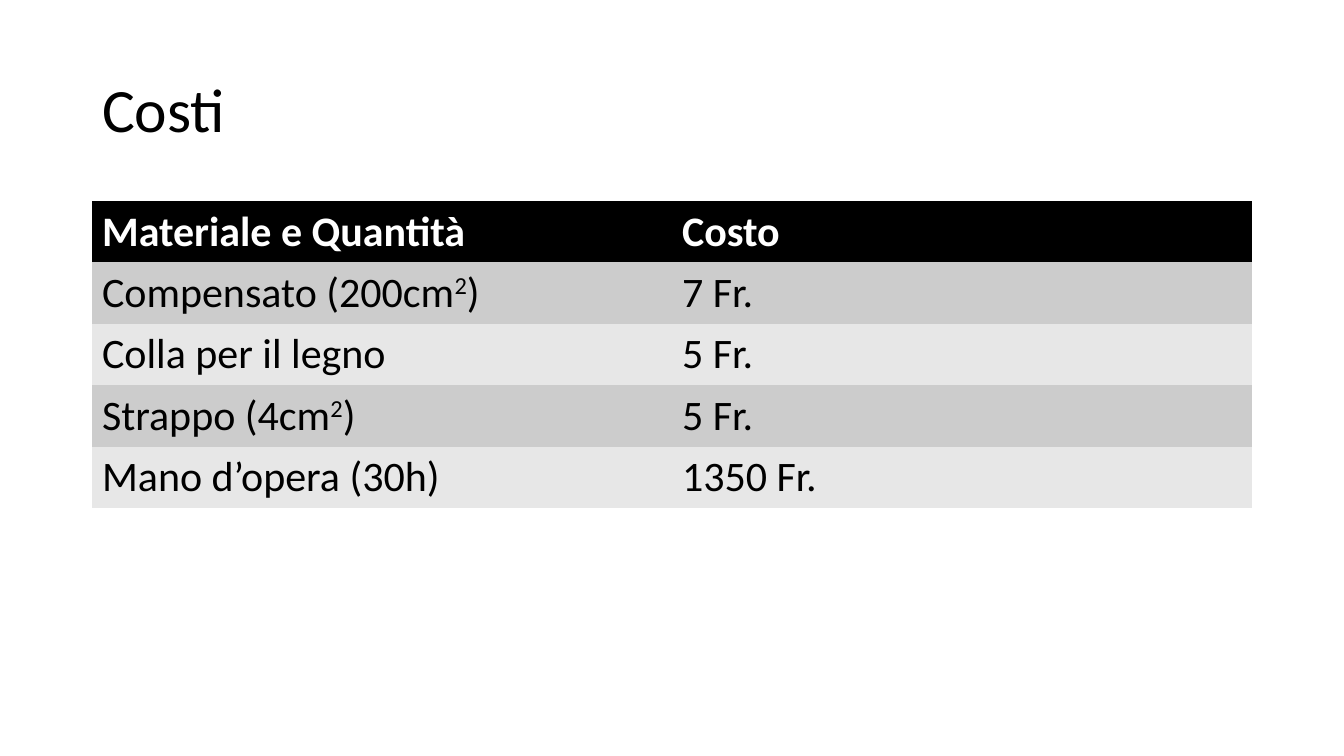
"""Build the cost slide with its title and price table."""
from pptx import Presentation
from pptx.dml.color import RGBColor
from pptx.enum.text import MSO_ANCHOR, PP_ALIGN
from pptx.oxml.ns import qn
from pptx.util import Emu, Pt

MIDDLE = MSO_ANCHOR.MIDDLE
LEFT = PP_ALIGN.LEFT
TITLE_ONLY = 5
EMU_PER_PIXEL = 914400 / 100.8
PLAIN_TABLE_STYLE = "{2D5ABB26-0587-4C30-8999-92F81FD0307C}"
SUPERSCRIPT_MARK = "^"
BLACK, WHITE = "000000", "FFFFFF"
BANDS = ("CCCCCC", "E7E7E7")

COSTS = [
    ("Materiale e Quantità", "Costo"),
    ("Compensato (200cm^2^)", "7 Fr."),
    ("Colla per il legno", "5 Fr."),
    ("Strappo (4cm^2^)", "5 Fr."),
    ("Mano d’opera (30h)", "1350 Fr."),
]


def pixels(length):
    """Turn pixels into EMU."""
    return Emu(round(length * EMU_PER_PIXEL))


def color(code):
    """Turn a hex string into a colour."""
    return RGBColor.from_string(code)


def assign(target, values):
    """Set each attribute of the target from a dict."""
    for name, value in values.items():
        setattr(target, name, value)


class SlideBuilder:
    """Hold the style and the current slide."""

    font_name = "Calibri"

    def __init__(self, deck):
        """Add a title-only slide to the deck."""
        self.slide = deck.slides.add_slide(deck.slide_layouts[TITLE_ONLY])

    def add_text(self, para, text, size, code, bold=False):
        """Fill a paragraph, raising the parts between superscript marks."""
        para.alignment = LEFT
        for index, part in enumerate(text.split(SUPERSCRIPT_MARK)):
            span = para.add_run()
            span.text = part
            assign(span.font, {"name": self.font_name, "size": Pt(size), "bold": bold})
            span.font.color.rgb = color(code)
            if index % 2:
                span._r.get_or_add_rPr().set("baseline", "30000")

    def title(self, text, left, top, width, height, size):
        """Place and format the title placeholder."""
        box = self.slide.shapes.title
        assign(box, {"left": pixels(left), "top": pixels(top),
                     "width": pixels(width), "height": pixels(height)})
        assign(box.text_frame, {"vertical_anchor": MIDDLE, "word_wrap": True})
        para = box.text_frame.paragraphs[0]
        para.line_spacing = 0.9
        self.add_text(para, text, size, BLACK)

    def table(self, rows, left, top, width, row_height, size):
        """Add a table with a dark header and banded rows."""
        frame = self.slide.shapes.add_table(
            len(rows), len(rows[0]), pixels(left), pixels(top),
            pixels(width), pixels(row_height * len(rows)))
        table = frame.table
        table._tbl.tblPr.find(qn("a:tableStyleId")).text = PLAIN_TABLE_STYLE
        for row_index, texts in enumerate(rows):
            header = row_index == 0
            fill = BLACK if header else BANDS[(row_index - 1) % len(BANDS)]
            for column_index, text in enumerate(texts):
                cell = table.cell(row_index, column_index)
                cell.vertical_anchor = MIDDLE
                cell.fill.solid()
                cell.fill.fore_color.rgb = color(fill)
                self.add_text(cell.text_frame.paragraphs[0], text, size,
                              WHITE if header else BLACK, header)


def main():
    """Build and save the deck."""
    deck = Presentation()
    assign(deck, {"slide_width": pixels(1344), "slide_height": pixels(756)})
    builder = SlideBuilder(deck)
    builder.title("Costi", 92, 40, 1160, 146, 44)
    builder.table(COSTS, 92, 201, 1160, 61, 30)
    deck.save("out.pptx")


main()
